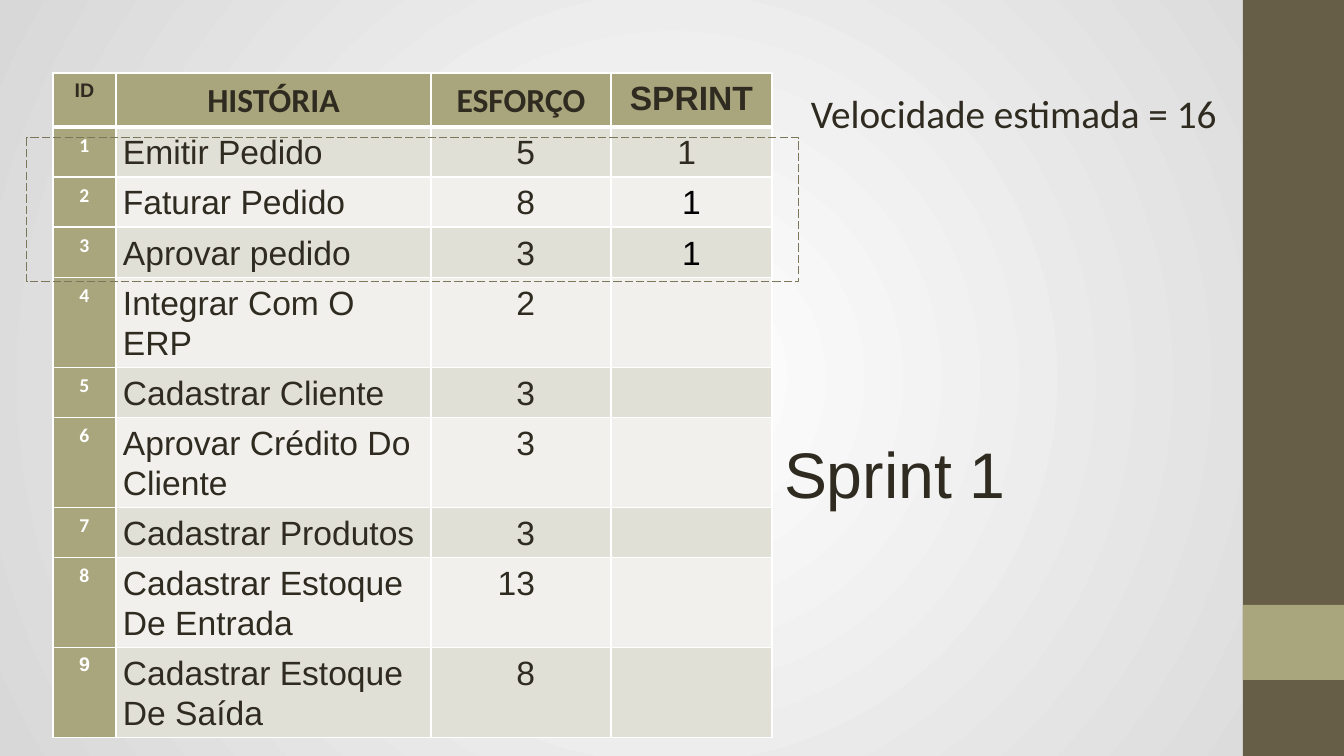
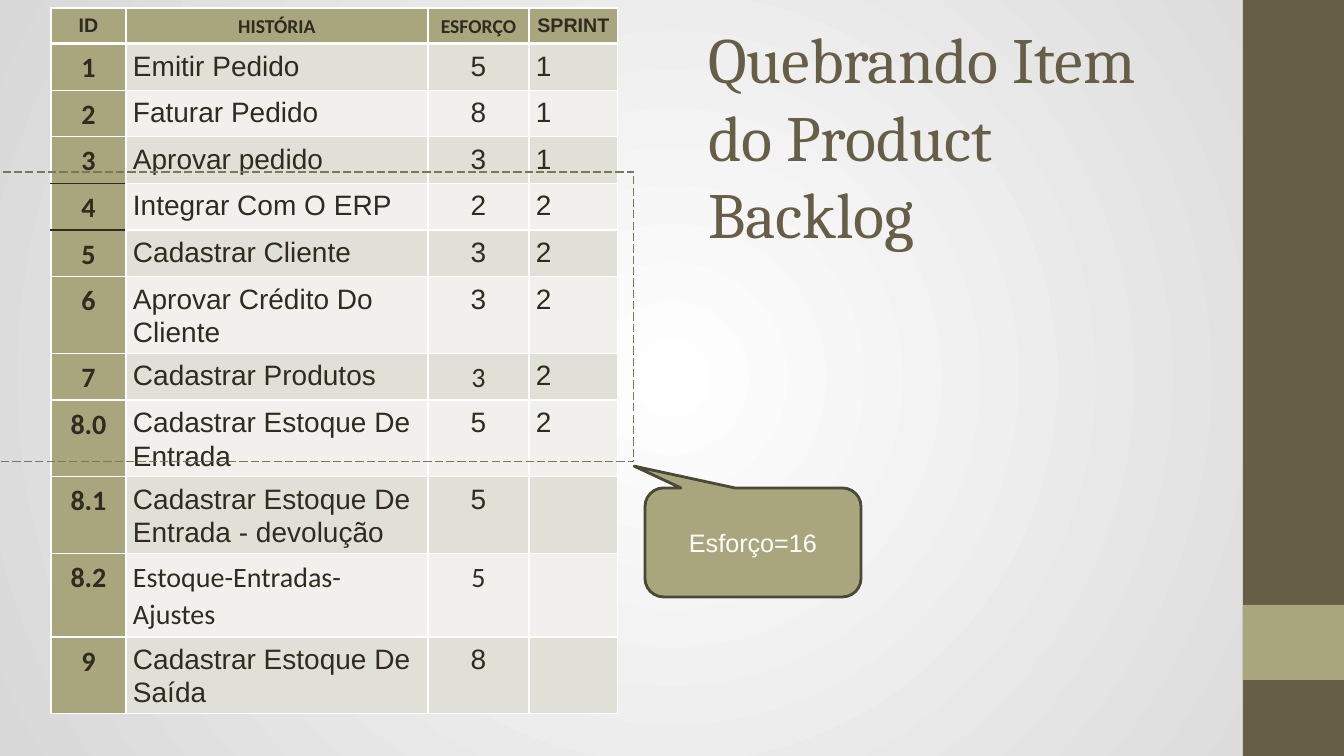
import pptx
import pptx.dml.color
import pptx.enum.dml
import pptx.enum.shapes
import pptx.enum.text
import pptx.oxml
import pptx.oxml.ns
import pptx.util

PX = 9071  # EMU in one px (100.8 px to the inch)
DARK, BROWN, OLIVE, WHITE = "2F2B20", "675E47", "A9A57C", "FFFFFF"
DASH_LINE, CALLOUT_LINE = "7B785A", "4A4836"
ROW_FILLS = ("E1E0D6", "F1F0EC")
HEADERS = ("ID", "HISTÓRIA", "ESFORÇO", "SPRINT")
HEADER_FONTS = ("Arial", "Calibri", "Calibri", "Arial")
SHAPES = pptx.enum.shapes.MSO_SHAPE
ALIGN = pptx.enum.text.PP_ALIGN
ANCHOR = pptx.enum.text.MSO_ANCHOR

# Right edge bands: fill, box
BANDS = [(BROWN, (1243, 0, 101, 756)), (OLIVE, (1243, 605, 101, 75))]

# Rows: height, then one text per column
SPRINT_ROWS = [
    (50, "1", "Emitir Pedido", "5", "1 "),
    (50, "2", "Faturar Pedido", "8", "1"),
    (50, "3", "Aprovar pedido", "3", "1"),
    (90, "4", "Integrar Com O ERP", "2", ""),
    (50, "5", "Cadastrar Cliente", "3", ""),
    (90, "6", "Aprovar Crédito Do Cliente", "3", ""),
    (50, "7", "Cadastrar Produtos", "3", ""),
    (90, "8", "Cadastrar Estoque De Entrada", "13", ""),
    (90, "9", "Cadastrar Estoque De Saída", "8", ""),
]
BACKLOG_ROWS = [
    (46, "1", "Emitir Pedido", "5", "1"),
    (46, "2", "Faturar Pedido", "8", "1"),
    (46, "3", "Aprovar pedido", "3", "1"),
    (46, "4", "Integrar Com O ERP", "2", "2"),
    (46, "5", "Cadastrar Cliente", "3", "2"),
    (76, "6", "Aprovar Crédito Do Cliente", "3", "2"),
    (46, "7", "Cadastrar Produtos", "3", "2"),
    (76, "8.0", "Cadastrar Estoque De Entrada", "5", "2"),
    (76, "8.1", "Cadastrar Estoque De Entrada - devolução", "5", ""),
    (83, "8.2", "Estoque-Entradas-Ajustes", "5", ""),
    (76, "9", "Cadastrar Estoque De Saída", "8", ""),
]

# Table settings; "special" changes the font or colour of single cells by (row, column)
SPRINT_TABLE = {
    "at": (53, 73), "columns": (63, 315, 180, 161), "rows": SPRINT_ROWS,
    "header_height": 54, "header_sizes": (14, 24, 24, 24),
    "id_size": 14, "id_color": WHITE, "size": 24,
    "aligns": (ALIGN.CENTER, ALIGN.LEFT, ALIGN.RIGHT, ALIGN.CENTER),
    "effort_margin": 76, "dark_below": (),
    "special": {(2, 3): {"color": "000000"}, (3, 3): {"color": "000000"},
                (9, 0): {"font": "Arial"}},
}
BACKLOG_TABLE = {
    "at": (51, 8), "columns": (75, 302, 101, 89), "rows": BACKLOG_ROWS,
    "header_height": 35, "header_sizes": (14, 14, 14, 14),
    "id_size": 20, "id_color": DARK, "size": 20,
    "aligns": (ALIGN.CENTER, ALIGN.LEFT, ALIGN.CENTER, ALIGN.LEFT),
    "effort_margin": 7, "dark_below": (3, 4),
    "special": {(7, 2): {"font": "Calibri"}, (10, 1): {"font": "Calibri"},
                (10, 2): {"font": "Calibri"}},
}


def px(*values):
    return [pptx.util.Emu(value * PX) for value in values]


def rgb(color):
    return pptx.dml.color.RGBColor.from_string(color)


def write(paragraph, text, size, font, color, bold=False, align=ALIGN.LEFT):
    paragraph.alignment = align
    run = paragraph.add_run()
    run.text = text
    run.font.size = pptx.util.Pt(size)
    run.font.name = font
    run.font.bold = bold
    run.font.color.rgb = rgb(color)


def set_margins(holder, horizontal, vertical):
    holder.margin_left, holder.margin_right = px(horizontal, horizontal)
    holder.margin_top, holder.margin_bottom = px(vertical, vertical)


def add_shape(slide, kind, box, fill=None, line=None, width=0.75):
    shape = slide.shapes.add_shape(kind, *px(*box))
    shape.shadow.inherit = False
    if fill:
        shape.fill.solid()
        shape.fill.fore_color.rgb = rgb(fill)
    else:
        shape.fill.background()
    if line:
        shape.line.color.rgb = rgb(line)
        shape.line.width = pptx.util.Pt(width)
    else:
        shape.line.fill.background()
    return shape


def add_dashed_frame(slide, box):
    frame = add_shape(slide, SHAPES.RECTANGLE, box, line=DASH_LINE)
    frame.line.dash_style = pptx.enum.dml.MSO_LINE.LONG_DASH


def set_title(slide, text, box, font, color):
    title = slide.shapes.title
    title.left, title.top, title.width, title.height = px(*box)
    frame = title.text_frame
    frame.auto_size = pptx.enum.text.MSO_AUTO_SIZE.NONE
    frame.word_wrap = True
    frame.vertical_anchor = ANCHOR.MIDDLE
    set_margins(frame, 0, 0)
    write(frame.paragraphs[0], text, 46, font, color)


def set_borders(cell, top, bottom):
    """Side borders are thin and white; top and bottom are (colour, points)."""
    thin = (WHITE, 0.96)
    sides = (("lnL", thin), ("lnR", thin), ("lnT", top), ("lnB", bottom))
    properties = cell._tc.get_or_add_tcPr()
    for index, (tag, (color, points)) in enumerate(sides):
        properties.insert(index, pptx.oxml.parse_xml(
            f'<a:{tag} {pptx.oxml.ns.nsdecls("a")} w="{pptx.util.Pt(points)}">'
            f'<a:solidFill><a:srgbClr val="{color}"/></a:solidFill></a:{tag}>'))


def add_story_table(slide, settings):
    rows = [(settings["header_height"], *HEADERS), *settings["rows"]]
    heights = [row[0] for row in rows]
    columns = settings["columns"]
    box = px(*settings["at"], sum(columns), sum(heights))
    table = slide.shapes.add_table(len(rows), len(columns), *box).table
    table.first_row = table.horz_banding = False
    for column, width in zip(table.columns, px(*columns)):
        column.width = width
    for row, height in zip(table.rows, px(*heights)):
        row.height = height

    # Line under a row, shared with the top of the next one
    def line_below(row, column):
        if row == 0:
            return WHITE, 3
        dark = column == 0 and row in settings["dark_below"]
        return (DARK if dark else WHITE), 0.96

    for r, (_, *texts) in enumerate(rows):
        for c, text in enumerate(texts):
            cell = table.cell(r, c)
            set_margins(cell, 7, 5)
            cell.fill.solid()
            accent = r == 0 or c == 0
            cell.fill.fore_color.rgb = rgb(OLIVE if accent else ROW_FILLS[(r - 1) % 2])
            set_borders(cell, line_below(r - 1, c), line_below(r, c))
            if not text:
                continue
            style = {"size": settings["size"], "font": "Arial", "color": DARK,
                     "bold": accent, "align": settings["aligns"][c]}
            if r == 0:
                style.update(size=settings["header_sizes"][c], font=HEADER_FONTS[c],
                             align=ALIGN.CENTER)
            elif c == 0:
                style.update(size=settings["id_size"], font="Calibri",
                             color=settings["id_color"])
            elif c == 2:
                cell.margin_right = px(settings["effort_margin"])[0]
            style.update(settings["special"].get((r, c), {}))
            paragraph = cell.text_frame.paragraphs[0]
            paragraph.line_spacing = 1.07
            write(paragraph, text, **style)


def set_master(master, slide):
    """Give every slide the round gradient and the right edge bands."""
    common = master.element.cSld
    old = common.find(pptx.oxml.ns.qn("p:bg"))
    if old is not None:
        common.remove(old)
    common.insert(0, pptx.oxml.parse_xml(
        f'<p:bg {pptx.oxml.ns.nsdecls("p", "a")}><p:bgPr><a:gradFill rotWithShape="1"><a:gsLst>'
        '<a:gs pos="0"><a:srgbClr val="FFFFFF"/></a:gs>'
        '<a:gs pos="100000"><a:srgbClr val="D8D8D8"/></a:gs></a:gsLst>'
        '<a:path path="circle"><a:fillToRect l="50000" t="50000" r="50000" b="50000"/></a:path>'
        '</a:gradFill><a:effectLst/></p:bgPr></p:bg>'))
    for index, (color, box) in enumerate(BANDS):
        band = add_shape(slide, SHAPES.RECTANGLE, box, fill=color)
        master.shapes.element.insert(2 + index, band.element)


def build_sprint_slide(slide):
    set_title(slide, "Sprint 1", (784, 378, 449, 189), "Arial", DARK)
    add_story_table(slide, SPRINT_TABLE)
    velocity = slide.shapes.add_textbox(*px(801, 84, 430, 56)).text_frame
    velocity.word_wrap = True
    write(velocity.paragraphs[0], "Velocidade estimada = 16", 28, "Calibri", DARK)
    add_dashed_frame(slide, (27, 138, 772, 144))


def build_backlog_slide(slide):
    set_title(slide, "Quebrando Item do Product Backlog", (708, 20, 479, 231),
              "Cambria", BROWN)
    add_story_table(slide, BACKLOG_TABLE)
    add_dashed_frame(slide, (-25, 172, 659, 290))
    callout = add_shape(slide, SHAPES.ROUNDED_RECTANGULAR_CALLOUT, (645, 488, 216, 109),
                        OLIVE, CALLOUT_LINE, 2)
    for index, value in enumerate((-0.55, -0.7, 0.17)):
        callout.adjustments[index] = value
    callout.text_frame.vertical_anchor = ANCHOR.MIDDLE
    write(callout.text_frame.paragraphs[0], "Esforço=16", 18, "Arial", WHITE,
          align=ALIGN.CENTER)


def main():
    presentation = pptx.Presentation()
    presentation.slide_width, presentation.slide_height = px(1344, 756)
    layout = presentation.slide_layouts[5]
    sprint_slide, backlog_slide = [presentation.slides.add_slide(layout) for _ in range(2)]
    set_master(presentation.slide_master, sprint_slide)
    build_sprint_slide(sprint_slide)
    build_backlog_slide(backlog_slide)
    presentation.save("out.pptx")


if __name__ == "__main__":
    main()
